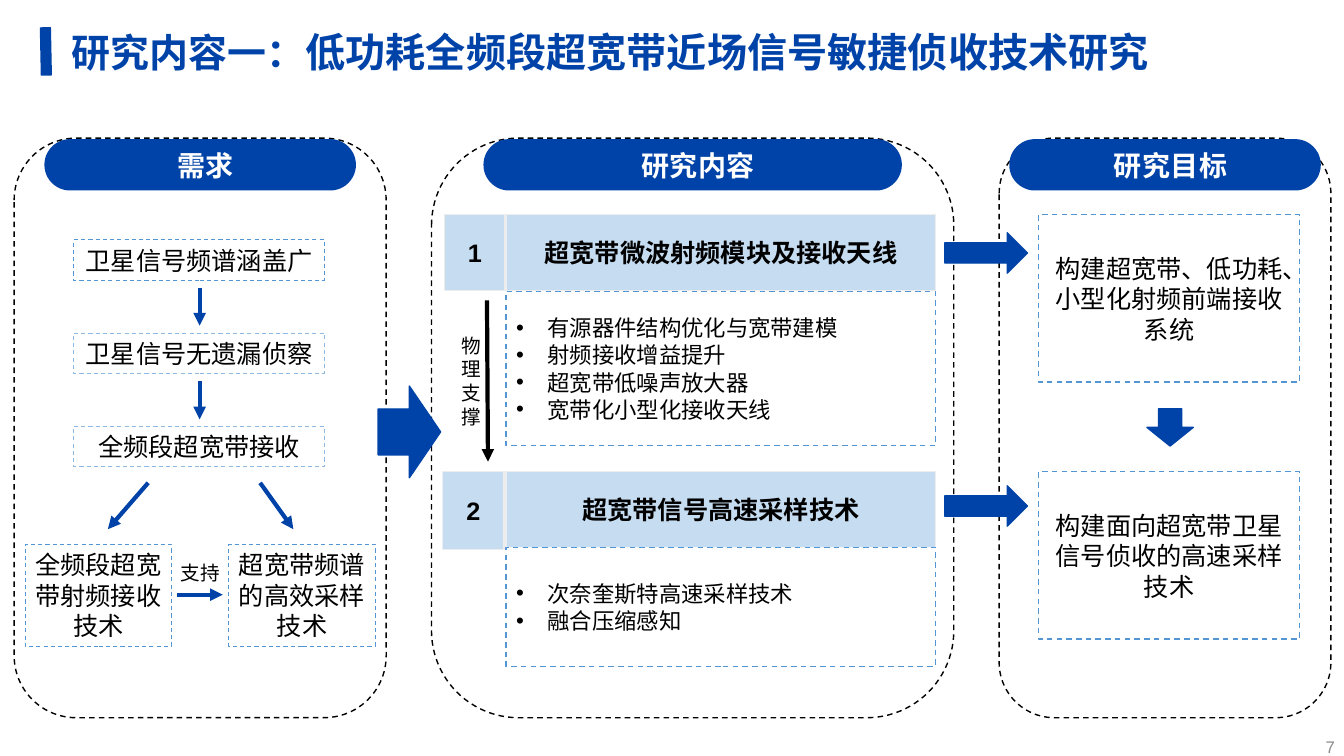
from dataclasses import dataclass
from typing import Any, Optional

from lxml.etree import SubElement
from pptx import Presentation
from pptx.dml.color import RGBColor
from pptx.enum.dml import MSO_LINE
from pptx.enum.shapes import MSO_CONNECTOR, MSO_SHAPE
from pptx.enum.text import MSO_ANCHOR, MSO_AUTO_SIZE, PP_ALIGN
from pptx.oxml.ns import qn
from pptx.util import Inches, Pt

BLUE = RGBColor(0x00, 0x43, 0xA8)
SKY = RGBColor(0x54, 0x95, 0xD3)
PALE_SKY = RGBColor(0x8D, 0xB9, 0xE2)
ICE = RGBColor(0xC6, 0xDC, 0xF0)
MIST = RGBColor(0xED, 0xED, 0xED)
GREY = RGBColor(0x8C, 0x8C, 0x8C)
BLACK = RGBColor(0, 0, 0)
WHITE = RGBColor(0xFF, 0xFF, 0xFF)
CHINESE, LATIN = "Noto Sans CJK SC", "Arial"
CELL = Inches(0.1)
LINE_RATIO = 1.21
TOP_ROW, LOWER_ROW = 21.3, 46.8


@dataclass(frozen=True)
class Place:
    """A rectangle in grid columns and rows."""
    column: float
    row: float
    columns: float
    rows: float

    def frame(self) -> dict[str, int]:
        """Return the rectangle as shape attributes."""
        sides = dict(left=self.column, top=self.row, width=self.columns, height=self.rows)
        return {name: round(cells * CELL) for name, cells in sides.items()}


@dataclass(frozen=True)
class Look:
    """Fill, outline and text format of a box."""
    fill: Optional[RGBColor] = None
    line: Optional[RGBColor] = None
    weight: float = 1
    dash: bool = False
    size: float = 18
    color: RGBColor = BLACK
    bold: bool = False
    font: str = CHINESE
    align: PP_ALIGN = PP_ALIGN.CENTER
    anchor: MSO_ANCHOR = MSO_ANCHOR.MIDDLE
    indent: tuple[float, float] = (0, 0)
    bullet: str = ""
    spacing: int = 0
    inset: Optional[int] = None


@dataclass(frozen=True)
class Column:
    """A dashed panel and its heading."""
    heading: str
    place: Place
    pill_columns: float


@dataclass(frozen=True)
class Topic:
    """A numbered research topic with its points and goal."""
    number: str
    heading: str
    row: float
    number_place: Place
    list_place: Place
    points: tuple[str, ...]
    goal: str
    arrow_row: float


@dataclass(frozen=True)
class Arrow:
    """A straight line between two grid points."""
    start: tuple[float, float]
    end: tuple[float, float]
    color: RGBColor = BLUE
    weight: float = 3
    head: bool = True


PANEL = Look(WHITE, BLACK, dash=True)
PILL = Look(BLUE, size=20, color=WHITE, bold=True, indent=(0.37, -0.26), spacing=30)
NEED = Look(WHITE, SKY, 0.75, True, anchor=MSO_ANCHOR.TOP)
PALE_NEED = Look(WHITE, PALE_SKY, 0.75, True, anchor=MSO_ANCHOR.TOP)
HEADING = Look(ICE, MIST, bold=True)
POINTS = Look(WHITE, SKY, dash=True, size=16, align=PP_ALIGN.LEFT, indent=(0.31, -0.31), bullet="•")
GOAL = Look(WHITE, SKY, dash=True)
BLOCK_ARROW = Look(BLUE, BLUE)
LABEL = Look(size=14, anchor=MSO_ANCHOR.TOP)
NUMBER = Look(size=12, color=GREY, font=LATIN, align=PP_ALIGN.RIGHT)
TITLE = Look(size=28.7, color=BLUE, bold=True, align=PP_ALIGN.LEFT, inset=0)

COLUMNS = (Column("需求", Place(1.4, 13.7, 36.9, 57.5), 30.9),
           Column("研究内容", Place(42.8, 13.7, 51.8, 57.5), 41.5),
           Column("研究目标", Place(99.1, 13.7, 32.9, 57.5), 30.9))
NEEDS = (("卫星信号频谱涵盖广", NEED), ("卫星信号无遗漏侦察", PALE_NEED), ("全频段超宽带接收", PALE_NEED))
TECHNIQUES = ("全频段超宽带射频接收技术", "超宽带频谱的高效采样技术")
TOPICS = (
    Topic("1", "超宽带微波射频模块及接收天线", TOP_ROW, Place(44.1, TOP_ROW, 6, 7.5),
          Place(50.2, 28.9, 42.6, 15.3),
          ("有源器件结构优化与宽带建模", "射频接收增益提升", "超宽带低噪声放大器", "宽带化小型化接收天线"),
          "构建超宽带、低功耗、小型化射频前端接收系统", 23.1),
    Topic("2", "超宽带信号高速采样技术", LOWER_ROW, Place(43.9, LOWER_ROW, 6.1, 7.7),
          Place(50.2, 54.3, 42.6, 11.8), ("次奈奎斯特高速采样技术", "融合压缩感知"),
          "构建面向超宽带卫星信号侦收的高速采样技术", 48.2))
ARROWS = (Arrow((4.5, 2.7), (4.6, 7.5), weight=8, head=False),
          Arrow((14.7, 47.9), (10.7, 52.5)), Arrow((25.8, 47.9), (29.1, 52.5)),
          Arrow((17.6, 59), (22.1, 59)), Arrow((48.3, 29.8), (48.4, 45.8), BLACK),
          Arrow((19.8, 28.6), (19.8, 32.3)), Arrow((19.8, 37.8), (19.8, 41.6)))


def apply(target: Any, values: dict[str, Any]) -> None:
    """Set each named attribute on the target."""
    for name, value in values.items():
        setattr(target, name, value)


def write(box: Any, lines: tuple[tuple[tuple[str, float], ...], ...], look: Look) -> None:
    """Write paragraphs of text and size pairs into a box."""
    frame = box.text_frame
    apply(frame, dict(word_wrap=True, auto_size=MSO_AUTO_SIZE.NONE, vertical_anchor=look.anchor))
    if look.inset is not None:
        apply(frame, {f"margin_{side}": look.inset for side in ("left", "top", "right", "bottom")})
    for index, spans in enumerate(lines):
        para = frame.add_paragraph() if index else frame.paragraphs[0]
        properties = para._p.get_or_add_pPr()
        for name, inches in zip(("marL", "indent"), look.indent):
            properties.set(name, str(Inches(inches)))
        if look.bullet:
            SubElement(properties, qn("a:buFont")).set("typeface", LATIN)
            SubElement(properties, qn("a:buChar")).set("char", look.bullet)
        apply(para, dict(alignment=look.align, space_before=Pt(0)))
        if look.font == CHINESE:
            para.line_spacing = Pt(round(look.size * LINE_RATIO, 1))
        for text, size in spans:
            span = para.add_run()
            span.text = text
            apply(span.font, dict(name=look.font, size=Pt(size), bold=look.bold))
            span.font.color.rgb = look.color
            run_properties = span._r.get_or_add_rPr()
            run_properties.set("spc", str(look.spacing))
            SubElement(run_properties, qn("a:ea")).set("typeface", look.font)


def paint(box: Any, look: Look) -> None:
    """Give a box its fill and outline."""
    box.fill.solid()
    box.fill.fore_color.rgb = look.fill
    if look.line is None:
        box.line.fill.background()
        return
    box.line.color.rgb = look.line
    apply(box.line, dict(width=Pt(look.weight), dash_style=MSO_LINE.DASH if look.dash else MSO_LINE.SOLID))


def draw_box(page: Any, kind: MSO_SHAPE, place: Place, look: Look, text: str = "") -> Any:
    """Add a preset shape with optional text."""
    box = page.shapes.add_shape(kind, **place.frame())
    box.shadow.inherit = False
    paint(box, look)
    if text:
        write(box, (((text, look.size),),), look)
    return box


def draw_label(page: Any, place: Place, look: Look, text: str) -> None:
    """Add a plain text box."""
    write(page.shapes.add_textbox(**place.frame()), (((text, look.size),),), look)


def draw_arrow(page: Any, arrow: Arrow) -> None:
    """Add a straight line, with an arrowhead if wanted."""
    ends = [round(value * CELL) for value in arrow.start + arrow.end]
    line = page.shapes.add_connector(MSO_CONNECTOR.STRAIGHT, *ends)
    line.line.color.rgb = arrow.color
    line.line.width = Pt(arrow.weight)
    if arrow.head:
        SubElement(line.line._get_or_add_ln(), qn("a:tailEnd")).set("type", "triangle")
    SubElement(line._element.spPr, qn("a:effectLst"))


def draw_column(page: Any, column: Column) -> None:
    """Draw a panel with its heading pill centred on top."""
    place = column.place
    draw_box(page, MSO_SHAPE.ROUNDED_RECTANGLE, place, PANEL)
    left = place.column + (place.columns - column.pill_columns) / 2
    pill = draw_box(page, MSO_SHAPE.ROUNDED_RECTANGLE,
                    Place(left, 13.8, column.pill_columns, 5.1), PILL, column.heading)
    pill.adjustments[0] = 0.5


def draw_topic(page: Any, topic: Topic, body: Any) -> None:
    """Draw a topic, its list, its goal and the arrow between them."""
    draw_box(page, MSO_SHAPE.RECTANGLE, Place(50.2, topic.row, 42.6, 7.5), HEADING, topic.heading)
    draw_box(page, MSO_SHAPE.RECTANGLE, topic.number_place,
             Look(ICE, MIST, bold=True, font=LATIN), topic.number)
    page.shapes._spTree.append(body._element)
    apply(body, topic.list_place.frame())
    paint(body, POINTS)
    write(body, tuple(((point, POINTS.size),) for point in topic.points), POINTS)
    draw_box(page, MSO_SHAPE.RECTANGLE, Place(103, topic.row, 25.9, 16.6), GOAL, topic.goal)
    draw_box(page, MSO_SHAPE.RIGHT_ARROW, Place(93.7, topic.arrow_row, 8.2, 4), BLOCK_ARROW)


def main() -> None:
    """Build and save the slide."""
    deck = Presentation()
    apply(deck, dict(slide_width=Inches(13.33), slide_height=Inches(7.5)))
    page = deck.slides.add_slide(deck.slide_layouts[3])
    title, *bodies = page.placeholders
    apply(title, Place(7.1, 0.9, 109.1, 8.3).frame())
    write(title, ((("研究内容一：", 27.8), ("低功耗全频段超宽带近场信号敏捷侦收技术研究", 28.7)),), TITLE)
    for column in COLUMNS:
        draw_column(page, column)
    for index, (text, look) in enumerate(NEEDS):
        draw_box(page, MSO_SHAPE.RECTANGLE, Place(7.3, 23.8 + 9.25 * index, 24.9, 4), look, text)
    for index, text in enumerate(TECHNIQUES):
        draw_box(page, MSO_SHAPE.RECTANGLE, Place(2.5 + 20.2 * index, 54, 14.5, 10.1), NEED, text)
    for topic, body in zip(TOPICS, bodies):
        draw_topic(page, topic, body)
    draw_box(page, MSO_SHAPE.RIGHT_ARROW, Place(37.5, 38.3, 6.2, 9.1), BLOCK_ARROW)
    draw_box(page, MSO_SHAPE.RIGHT_ARROW, Place(114.2, 40.1, 3.7, 4.6), BLOCK_ARROW).rotation = 90
    for arrow in ARROWS:
        draw_arrow(page, arrow)
    draw_label(page, Place(44.8, 32.6, 2.6, 10.4), LABEL, "物理支撑")
    draw_label(page, Place(16.6, 55.1, 6.5, 3.4), LABEL, "支持")
    draw_label(page, Place(122.1, 72.2, 11.3, 3.8), NUMBER, "7")
    deck.save("out.pptx")


if __name__ == "__main__":
    main()
